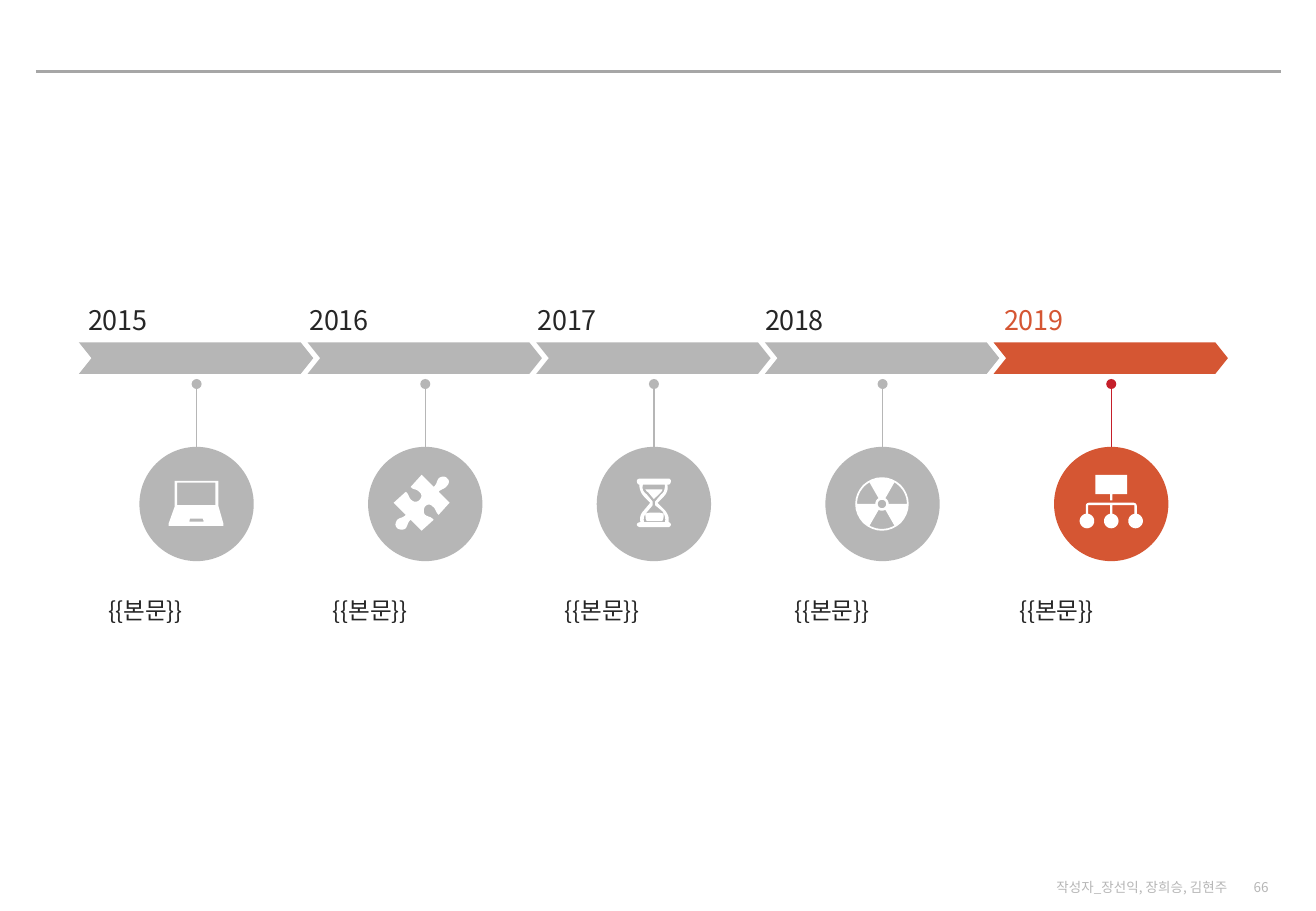
from dataclasses import dataclass
from math import cos, radians, sin

from lxml import etree
from pptx import Presentation
from pptx.dml.color import RGBColor
from pptx.enum.shapes import MSO_CONNECTOR, MSO_SHAPE
from pptx.enum.text import MSO_ANCHOR, MSO_AUTO_SIZE, PP_ALIGN
from pptx.oxml.ns import qn
from pptx.util import Cm, Pt

STRAIGHT = MSO_CONNECTOR.STRAIGHT
CHEVRON, OVAL = MSO_SHAPE.CHEVRON, MSO_SHAPE.OVAL
LEFT, CENTER, RIGHT = PP_ALIGN.LEFT, PP_ALIGN.CENTER, PP_ALIGN.RIGHT
TOP, MIDDLE = MSO_ANCHOR.TOP, MSO_ANCHOR.MIDDLE
FIT_SHAPE, NO_FIT = MSO_AUTO_SIZE.SHAPE_TO_FIT_TEXT, MSO_AUTO_SIZE.NONE


@dataclass(frozen=True)
class Theme:
    font: str = "Noto Sans CJK KR"
    gray: str = "B6B6B6"
    accent: str = "D55633"
    accent_pin: str = "C51F2A"
    ink: str = "262626"
    rule: str = "A6A6A6"
    white: str = "FFFFFF"
    year_size: int = 16
    body_size: int = 14
    footer_size: int = 8
    tracking: int = -20


THEME = Theme()

# Timeline geometry in cm
PITCH = 4.78
CHEVRON_LEFT = 1.65
CENTER_X, CENTER_Y = 4.11, 10.54
DISC = 2.39
PIN_TOP = 8.03

# Icon grid: a hundredth of an inch, drawn ten times finer
ICON_SCALE = Cm(2.54) / 1000


# Outlines: a pair is a straight step, six numbers are a Bezier step
def flatten(steps, pieces=8):
    points = []
    for step in steps:
        if len(step) == 2:
            points.append(step)
            continue
        x0, y0 = points[-1]
        x1, y1, x2, y2, x3, y3 = step
        for i in range(1, pieces + 1):
            t = i / pieces
            a, b, c, d = (1 - t) ** 3, 3 * t * (1 - t) ** 2, 3 * t * t * (1 - t), t ** 3
            points.append((a * x0 + b * x1 + c * x2 + d * x3,
                           a * y0 + b * y1 + c * y2 + d * y3))
    return points


def arc(cx, cy, radius, start=0, end=360):
    angles = [radians(start + (end - start) * i / 32) for i in range(33)]
    return [(cx + radius * cos(a), cy + radius * sin(a)) for a in angles]


def sector(start, end):
    return arc(-0.5, 0, 20.5, start, end) + arc(-0.5, 0, 5.5, end, start)


LAPTOP = [
    [(-18, -19), (18, -19), (18, 2), (22, 16), (22, 18), (-23, 18), (-23, 16), (-18, 2)],
    [(-16, -17.5), (-16, 1), (15.5, 1), (15.5, -17.5)],
    [(-5.5, 12), (-6, 14.5), (6, 14.5), (5, 12)],
]
PUZZLE = [[
    (18, -21), (20, -20, 20, -17, 18, -15), (16, -12, 14, -13, 11, -10),
    (20, -1), (11, 9), (8, 6, 9, 4, 6, 2), (4, 0, 2, 0, 0, 2),
    (-1, 3, -2, 7, 0, 9), (3, 11, 4, 10, 7, 13), (-3, 22), (-12, 13),
    (-15, 16, -14, 17, -16, 20), (-18, 22, -22, 21, -23, 20),
    (-25, 18, -25, 16, -23, 13), (-21, 11, -19, 12, -16, 9),
    (-26, -1), (-16, -10), (-13, -8, -14, -5, -11, -3),
    (-9, -1, -6, -2, -5, -3), (-3, -5, -2, -8, -5, -10),
    (-8, -13, -9, -11, -12, -14), (-3, -24), (7, -14),
    (10, -17, 9, -18, 11, -21), (13, -23, 17, -23, 18, -21),
]]
HOURGLASS = [
    [(-11, -21), (12, -21), (13, -21, 14, -20, 14, -19), (14, -17, 13, -16, 12, -16),
     (11, -16), (12, -13, 11, -9, 8, -6), (3, -1), (8, 4), (11, 7, 13, 11, 12, 15),
     (13, 15, 14, 16, 14, 17), (14, 18, 13, 19, 12, 19), (-11, 19),
     (-13, 19, -14, 18, -14, 17), (-14, 16, -13, 15, -11, 15), (-12, 11, -11, 8, -8, 5),
     (-3, -1), (-8, -6), (-11, -9, -12, -13, -12, -16), (-13, -16, -14, -17, -14, -19),
     (-14, -20, -13, -21, -11, -21)],
    [(-9, -16), (-10, -13, -9, -10, -6, -8), (-1, -2), (-1, 1), (-6, 7),
     (-8, 9, -9, 12, -8, 15), (9, 15), (10, 12, 9, 9, 7, 6), (1, 1), (1, -2),
     (6, -8), (9, -10, 9, -13, 9, -16)],
    [(-7, -12), (7, -12), (7, -11, 6, -10, 6, -10), (0, -4), (-5, -10),
     (-6, -10, -6, -11, -7, -12)],
    [(1, 7), (3, 7, 5, 7, 8, 8), (8, 10, 8, 12, 7, 14), (-6, 14),
     (-7, 12, -7, 10, -7, 8), (-4, 7, -1, 7, 1, 7)],
]
RADIATION = [arc(-0.5, 0, 22), arc(-0.5, 0, 3.5),
             *[sector(start, start + 60) for start in (60, 180, 300)]]
ORG_CHART = [
    [(-13, -24), (13, -24), (13, -8), (1, -8), (1, -3), (-1, -3), (-1, -8), (-13, -8)],
    [(-21, 8), (-21, 2), (-21, 0, -20, -1, -18, -1), (18, -1), (20, -1, 21, 0, 21, 2),
     (21, 8), (19, 8), (19, 1), (1, 1), (1, 8), (-1, 8), (-1, 1), (-19, 1), (-19, 8)],
    *[arc(x, 14, 6) for x in (-20, 0, 20)],
]

# Year, left of year label, left of body text, icon
MILESTONES = [
    ("2015", 0.48, 2.01, LAPTOP),
    ("2016", 5.11, 6.71, PUZZLE),
    ("2017", 9.88, 11.56, HOURGLASS),
    ("2018", 14.63, 16.36, RADIATION),
    ("2019", 19.63, 21.06, ORG_CHART),
]


def paint(sp, color):
    sp.shadow.inherit = False
    sp.fill.solid()
    sp.fill.fore_color.rgb = RGBColor.from_string(color)
    sp.line.fill.background()


def add_filled(slide, kind, x, y, w, h, color):
    sp = slide.shapes.add_shape(kind, Cm(x), Cm(y), Cm(w), Cm(h))
    paint(sp, color)
    return sp


def add_line(slide, x1, y1, x2, y2, color, width):
    line = slide.shapes.add_connector(STRAIGHT, Cm(x1), Cm(y1), Cm(x2), Cm(y2))
    line.line.color.rgb = RGBColor.from_string(color)
    line.line.width = Pt(width)
    etree.SubElement(line._element.spPr, qn("a:effectLst"))
    return line


def add_text(slide, text, x, y, w, h, size, color, align=LEFT, anchor=TOP,
             fit=FIT_SHAPE, spacing=None, tracking=0):
    tf = slide.shapes.add_textbox(Cm(x), Cm(y), Cm(w), Cm(h)).text_frame
    tf.word_wrap = True
    tf.auto_size = fit
    tf.vertical_anchor = anchor
    p = tf.paragraphs[0]
    p.text = text
    p.alignment = align
    p.line_spacing = spacing
    p.font.size = Pt(size)
    p.font.name = THEME.font
    p.font.color.rgb = RGBColor.from_string(color)
    # East Asian typeface and letter spacing
    props = p._p.pPr.find(qn("a:defRPr"))
    props.set("spc", str(tracking))
    etree.SubElement(props, qn("a:ea")).set("typeface", THEME.font)


def add_icon(slide, outlines, x, y):
    builder = None
    for outline in outlines:
        points = [(px * 10, py * 10) for px, py in flatten(outline)]
        if builder is None:
            builder = slide.shapes.build_freeform(*points[0], scale=ICON_SCALE)
        else:
            builder.move_to(*points[0])
        builder.add_line_segments(points[1:], close=True)
    paint(builder.convert_to_shape(Cm(x), Cm(y)), THEME.white)


def add_milestone(slide, index, year, year_left, body_left, icon):
    current = index == len(MILESTONES) - 1
    color = THEME.accent if current else THEME.gray
    x = CENTER_X + index * PITCH

    band = add_filled(slide, CHEVRON, CHEVRON_LEFT + index * PITCH, 7.16, 4.9, 0.66, color)
    band.adjustments[0] = 0.4
    add_text(slide, year, year_left, 6.23, 3.96, 0.91, THEME.year_size,
             THEME.accent if current else THEME.ink, CENTER, tracking=THEME.tracking)

    disc = add_filled(slide, OVAL, x - DISC / 2, CENTER_Y - DISC / 2, DISC, DISC, color)
    pin = add_line(slide, x, PIN_TOP, x, CENTER_Y - DISC / 2,
                   THEME.accent_pin if current else THEME.gray, 0.75)
    pin.end_connect(disc, 0)
    etree.SubElement(pin.line._get_or_add_ln(), qn("a:headEnd")).set("type", "oval")
    add_icon(slide, icon, x, CENTER_Y)

    add_text(slide, "{{본문}}", body_left, 12.22, 4.24, 0.97, THEME.body_size,
             THEME.ink, spacing=1.2, tracking=THEME.tracking)


def main():
    prs = Presentation()
    prs.slide_width, prs.slide_height = Cm(27.51), Cm(19.05)
    slide = prs.slides.add_slide(prs.slide_layouts[6])

    # Header rule and footer
    add_line(slide, 0.75, 1.5, 26.77, 1.5, THEME.rule, 0)
    for text, x, w in (("66", 25.73, 1.04), ("작성자_장선익, 장희승, 김현주", 21.64, 4.27)):
        add_text(slide, text, x, 18.34, w, 0.41, THEME.footer_size, THEME.gray,
                 RIGHT, MIDDLE, NO_FIT)

    # Timeline
    for index, milestone in enumerate(MILESTONES):
        add_milestone(slide, index, *milestone)

    prs.save("out.pptx")


if __name__ == "__main__":
    main()
